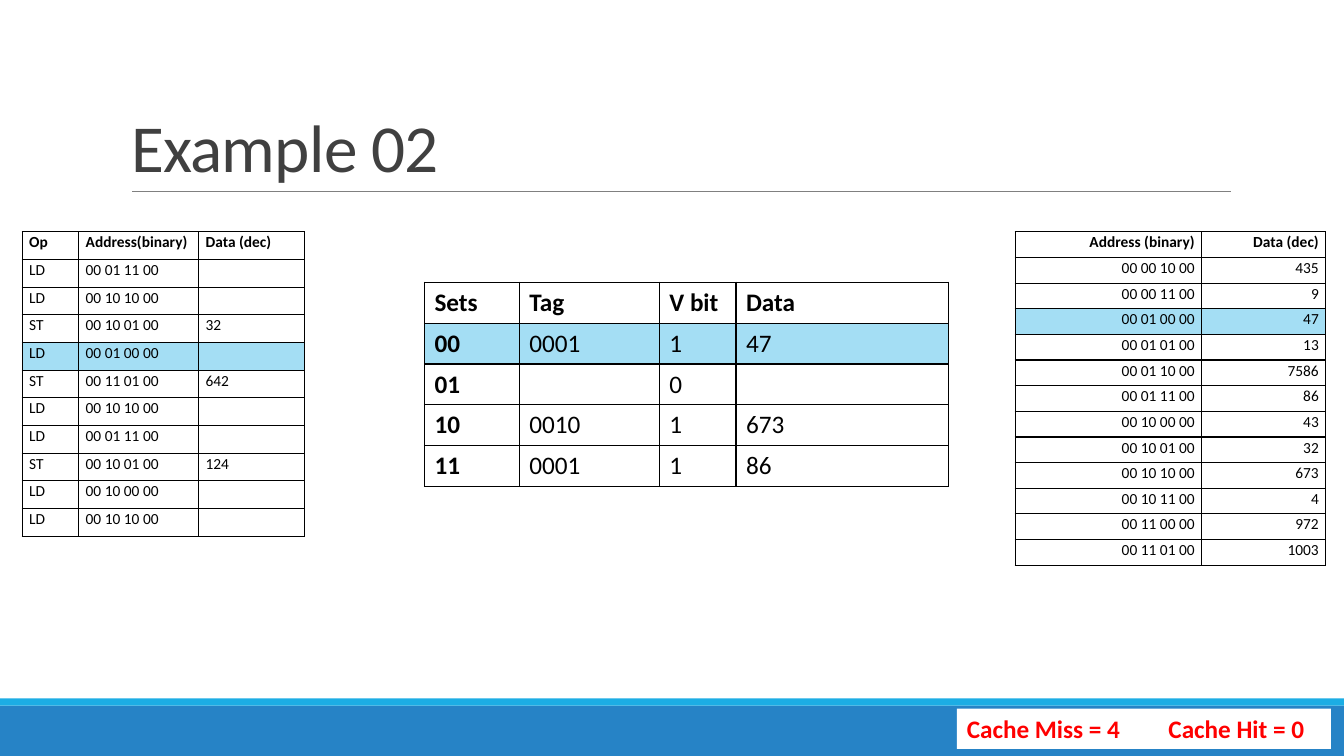
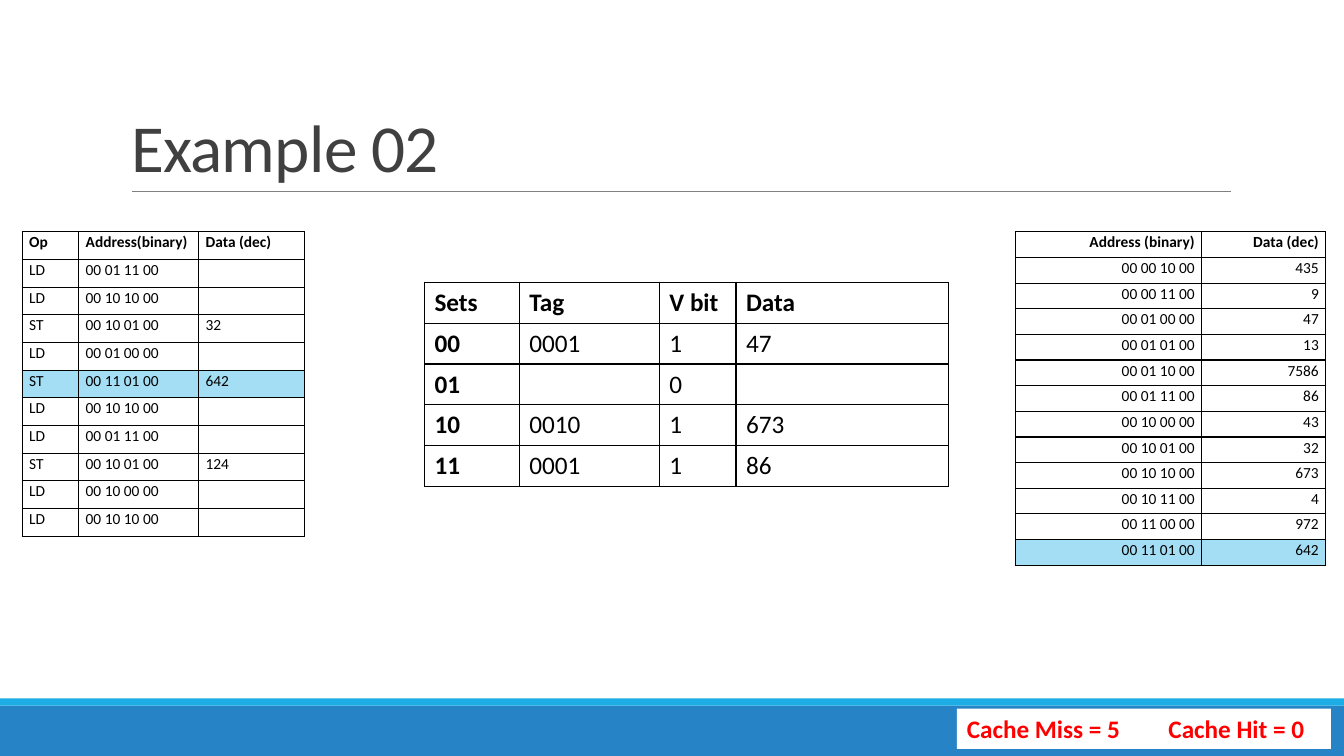
"""Build two slides that step through a direct-mapped cache example."""
from dataclasses import dataclass

from lxml import etree
from pptx import Presentation
from pptx.dml.color import RGBColor
from pptx.enum.shapes import MSO_CONNECTOR, MSO_SHAPE
from pptx.enum.text import MSO_ANCHOR, MSO_AUTO_SIZE, PP_ALIGN
from pptx.oxml.ns import qn
from pptx.util import Inches, Pt

RECTANGLE = MSO_SHAPE.RECTANGLE
STRAIGHT = MSO_CONNECTOR.STRAIGHT
TOP, BOTTOM = MSO_ANCHOR.TOP, MSO_ANCHOR.BOTTOM
LEFT, RIGHT = PP_ALIGN.LEFT, PP_ALIGN.RIGHT
NO_AUTOFIT = MSO_AUTO_SIZE.NONE


@dataclass(frozen=True)
class Theme:
    font: str = "Calibri"
    band: RGBColor = RGBColor(0x26, 0x83, 0xC6)
    stripe: RGBColor = RGBColor(0x1C, 0xAD, 0xE4)
    rule: RGBColor = RGBColor(0x80, 0x80, 0x80)
    title: RGBColor = RGBColor(0x40, 0x40, 0x40)
    ink: RGBColor = RGBColor(0, 0, 0)
    paper: RGBColor = RGBColor(0xFF, 0xFF, 0xFF)
    highlight: RGBColor = RGBColor(0xA4, 0xDE, 0xF4)
    score: RGBColor = RGBColor(0xFF, 0, 0)
    title_size: int = 48
    body_size: int = 18
    small_size: int = 11


THEME = Theme()

OPERATIONS = [
    ("Op", "Address(binary)", "Data (dec)"),
    ("LD", "00 01 11 00", ""),
    ("LD", "00 10 10 00", ""),
    ("ST", "00 10 01 00", "32"),
    ("LD", "00 01 00 00", ""),
    ("ST", "00 11 01 00", "642"),
    ("LD", "00 10 10 00", ""),
    ("LD", "00 01 11 00", ""),
    ("ST", "00 10 01 00", "124"),
    ("LD", "00 10 00 00", ""),
    ("LD", "00 10 10 00", ""),
]
MEMORY = [
    ("Address (binary)", "Data (dec)"),
    ("00 00 10 00", "435"),
    ("00 00 11 00", "9"),
    ("00 01 00 00", "47"),
    ("00 01 01 00", "13"),
    ("00 01 10 00", "7586"),
    ("00 01 11 00", "86"),
    ("00 10 00 00", "43"),
    ("00 10 01 00", "32"),
    ("00 10 10 00", "673"),
    ("00 10 11 00", "4"),
    ("00 11 00 00", "972"),
]
LAST_ADDRESS = "00 11 01 00"
CACHE = [
    ("Sets", "Tag", "V bit", "Data"),
    ("00", "0001", "1", "47"),
    ("01", "", "0", ""),
    ("10", "0010", "1", "673"),
    ("11", "0001", "1", "86"),
]
STEPS = [
    {"operation": 4, "memory": 3, "cache": 1, "stored": "1003", "misses": 4},
    {"operation": 5, "memory": 12, "cache": None, "stored": "642", "misses": 5},
]


def style_text(para, size, color, bold=False):
    for span in para.runs:
        span.font.name = THEME.font
        span.font.size = Pt(size)
        span.font.bold = bold
        span.font.color.rgb = color


def add_grid(page, rows, left, top, widths, height, marked,
             small=True, align=LEFT, bold_first_column=False):
    frame = page.shapes.add_table(len(rows), len(widths), Inches(left), Inches(top),
                                  Inches(sum(widths)), Inches(height))
    table = frame.table
    table.first_row = table.horz_banding = False
    size = THEME.small_size if small else THEME.body_size
    for column, width in zip(table.columns, widths):
        column.width = Inches(width)
    for row_index, values in enumerate(rows):
        table.rows[row_index].height = Inches(height / len(rows))
        for column_index, value in enumerate(values):
            cell = table.cell(row_index, column_index)
            if small:
                cell.margin_left = cell.margin_right = Inches(0.07)
                cell.margin_top = cell.margin_bottom = 0
            para = cell.text_frame.paragraphs[0]
            para.text = value
            para.alignment = align
            para.line_spacing = 1.07 if small else 1.0
            bold = row_index == 0 or (bold_first_column and column_index == 0)
            style_text(para, size, THEME.ink, bold)
            if not value:
                etree.SubElement(para._p, qn("a:endParaRPr"), sz=str(size * 100))
            properties = cell._tc.get_or_add_tcPr()
            for side in ("a:lnL", "a:lnR", "a:lnT", "a:lnB"):
                border = etree.SubElement(properties, qn(side), w=str(Pt(1)))
                fill = etree.SubElement(border, qn("a:solidFill"))
                etree.SubElement(fill, qn("a:srgbClr"), val=str(THEME.ink))
            cell.fill.solid()
            cell.fill.fore_color.rgb = THEME.highlight if row_index == marked else THEME.paper


deck = Presentation()
deck.slide_width, deck.slide_height = Inches(13.33), Inches(7.5)

for step in STEPS:
    page = deck.slides.add_slide(deck.slide_layouts[5])

    boxes = []
    for left, top, width, height, color in (
        (0, 7, 13.33, 0.5, THEME.band),
        (0, 6.93, 13.33, 0.07, THEME.stripe),
        (9.49, 7.03, 3.71, 0.4, THEME.paper),
    ):
        box = page.shapes.add_shape(RECTANGLE, Inches(left), Inches(top),
                                    Inches(width), Inches(height))
        box.shadow.inherit = False
        box.fill.solid()
        box.fill.fore_color.rgb = color
        box.line.fill.background()
        boxes.append(box)

    score = boxes[-1].text_frame
    score.word_wrap = True
    score.vertical_anchor = TOP
    score.text = f"Cache Miss = {step['misses']}\tCache Hit = 0"
    score.paragraphs[0].alignment = LEFT
    style_text(score.paragraphs[0], THEME.body_size, THEME.score, bold=True)

    rule = page.shapes.add_connector(STRAIGHT, Inches(1.31), Inches(1.9),
                                     Inches(12.21), Inches(1.9))
    rule.line.color.rgb = THEME.rule
    rule.line.width = Pt(0.5)
    etree.SubElement(rule._element.spPr, qn("a:effectLst"))

    title = page.shapes.title
    title.left, title.top = Inches(1.2), Inches(0.31)
    title.width, title.height = Inches(11), Inches(1.59)
    heading = title.text_frame
    heading.text = "Example 02"
    heading.word_wrap = True
    heading.auto_size = NO_AUTOFIT
    heading.vertical_anchor = BOTTOM
    para = heading.paragraphs[0]
    para.alignment = LEFT
    para.line_spacing = 0.85
    style_text(para, THEME.title_size, THEME.title)
    para.runs[0].font._element.set("spc", "-50")

    memory = MEMORY + [(LAST_ADDRESS, step["stored"])]
    add_grid(page, OPERATIONS, 0.22, 2.3, (0.56, 1.19, 1.05), 3.02, step["operation"])
    add_grid(page, memory, 10.07, 2.3, (1.85, 1.23), 3.31, step["memory"], align=RIGHT)
    add_grid(page, CACHE, 4.21, 2.8, (0.94, 1.39, 0.76, 2.11), 2, step["cache"],
             small=False, bold_first_column=True)

deck.save("out.pptx")
